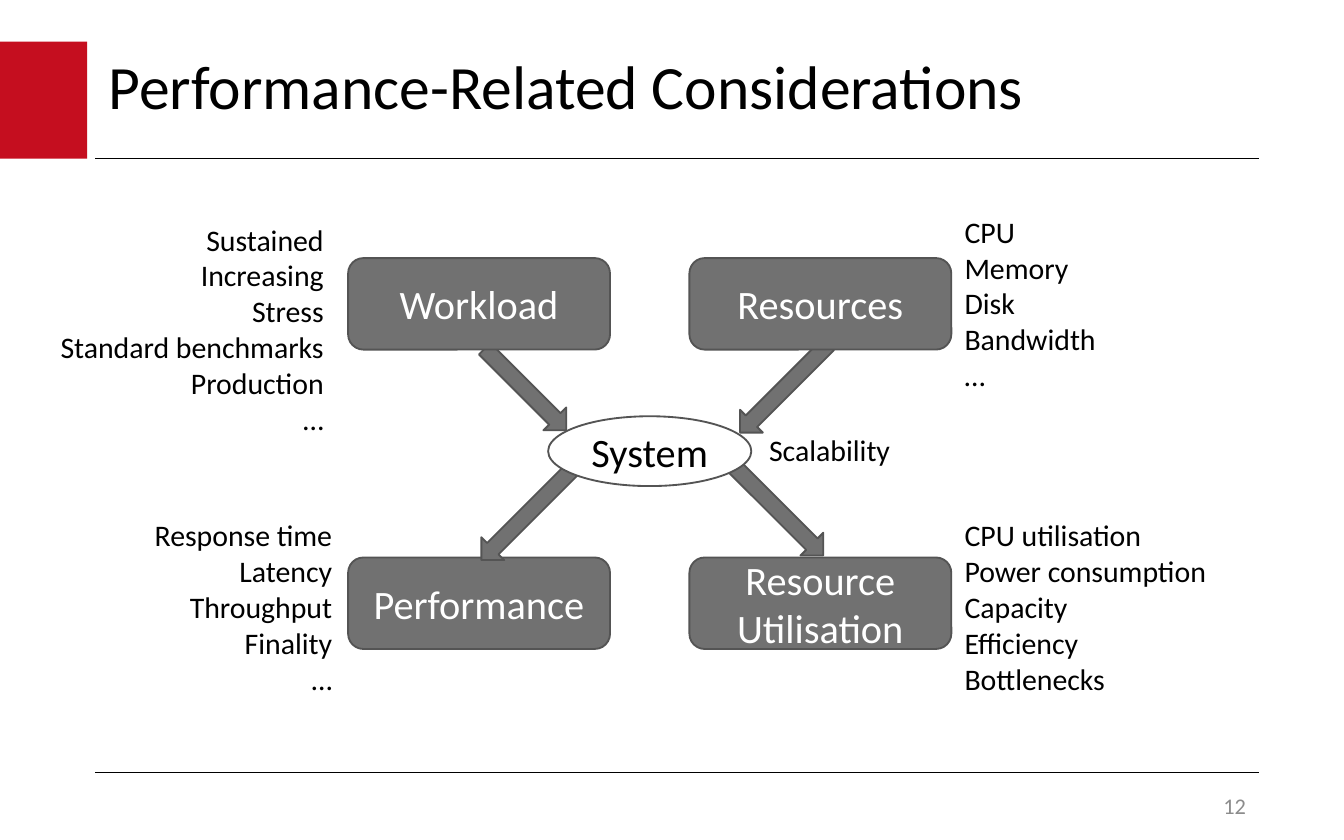
from lxml import etree
from pptx import Presentation
from pptx.dml.color import RGBColor
from pptx.enum.shapes import MSO_CONNECTOR, MSO_SHAPE
from pptx.enum.text import MSO_ANCHOR, MSO_AUTO_SIZE, PP_ALIGN
from pptx.oxml.ns import qn
from pptx.util import Cm, Pt

LEFT, CENTER, RIGHT = PP_ALIGN.LEFT, PP_ALIGN.CENTER, PP_ALIGN.RIGHT
TOP, MIDDLE = MSO_ANCHOR.TOP, MSO_ANCHOR.MIDDLE
FIT_SHAPE, FIXED = MSO_AUTO_SIZE.SHAPE_TO_FIT_TEXT, MSO_AUTO_SIZE.NONE
RECTANGLE, ROUNDED = MSO_SHAPE.RECTANGLE, MSO_SHAPE.ROUNDED_RECTANGLE
OVAL, ARROW = MSO_SHAPE.OVAL, MSO_SHAPE.RIGHT_ARROW
STRAIGHT = MSO_CONNECTOR.STRAIGHT

BLACK = RGBColor(0x00, 0x00, 0x00)
WHITE = RGBColor(0xFF, 0xFF, 0xFF)
RED = RGBColor(0xC5, 0x0E, 0x1F)
GRAY = RGBColor(0x71, 0x71, 0x71)
OUTLINE = RGBColor(0x54, 0x54, 0x54)
PALE_GRAY = RGBColor(0x8C, 0x8C, 0x8C)


def write_text(frame, lines, font="Calibri", size=16, color=BLACK, align=LEFT,
               anchor=TOP, wrap=True, fit=FIXED, spacing=None):
    """Write one paragraph per line; a vertical tab breaks within a paragraph."""
    frame.word_wrap = wrap
    frame.auto_size = fit
    frame.vertical_anchor = anchor
    for index, line in enumerate(lines):
        paragraph = frame.add_paragraph() if index else frame.paragraphs[0]
        paragraph.text = line
        paragraph.alignment = align
        if spacing:
            paragraph.line_spacing = spacing
        for run in paragraph.runs:
            run.font.name = font
            run.font.size = Pt(size)
            run.font.color.rgb = color


class SlideBuilder:
    label_size = 21.6

    def __init__(self, slide):
        self.slide = slide

    def title(self, text, box):
        shape = self.slide.shapes.title
        shape.left, shape.top, shape.width, shape.height = map(Cm, box)
        write_text(shape.text_frame, [text], size=33, anchor=MIDDLE, spacing=0.9)

    def shape(self, kind, box, fill=GRAY, line=OUTLINE):
        shape = self.slide.shapes.add_shape(kind, *map(Cm, box))
        shape.shadow.inherit = False
        shape.fill.solid()
        shape.fill.fore_color.rgb = fill
        if line is None:
            shape.line.fill.background()
        else:
            shape.line.color.rgb = line
            shape.line.width = Pt(1)
        return shape

    def node(self, kind, text, box, fill=GRAY, color=WHITE):
        shape = self.shape(kind, box, fill)
        write_text(shape.text_frame, [text], size=self.label_size, color=color,
                   align=CENTER, anchor=MIDDLE, wrap=kind != OVAL)

    def arrow(self, left, top, length, angle):
        self.shape(ARROW, (left, top, length, 0.61)).rotation = angle

    def rule(self, left, right, y):
        line = self.slide.shapes.add_connector(
            STRAIGHT, Cm(left), Cm(y), Cm(right), Cm(y))
        line.line.color.rgb = BLACK
        line.line.width = Pt(0.75)
        etree.SubElement(line.element.spPr, qn("a:effectLst"))

    def text(self, lines, box, **text_format):
        shape = self.slide.shapes.add_textbox(*map(Cm, box))
        write_text(shape.text_frame, lines, **text_format)


def main():
    presentation = Presentation()
    presentation.slide_width, presentation.slide_height = Cm(25.4), Cm(15.88)
    builder = SlideBuilder(
        presentation.slides.add_slide(presentation.slide_layouts[5]))

    # Page frame
    builder.shape(RECTANGLE, (0, 0.79, 1.65, 2.21), RED, None)
    for y in (3, 14.6):
        builder.rule(1.8, 23.8, y)
    builder.title("Performance-Related Considerations", (1.8, 0.79, 22, 1.8))
    builder.text(["12"], (18.64, 14.91, 5.16, 0.64), size=12, color=PALE_GRAY,
                 align=RIGHT, anchor=MIDDLE)

    # Arrows into the system, behind the boxes
    builder.arrow(13.64, 7.04, 2.36, 135)
    builder.arrow(8.84, 7.06, 2.18, 45)

    # Four boxes in a grid
    grid = (("Workload", "Resources"), ("Performance", "Resource\vUtilisation"))
    for row, labels in enumerate(grid):
        for column, label in enumerate(labels):
            builder.node(ROUNDED, label,
                         (6.58 + 6.45 * column, 4.88 + 5.66 * row, 4.95, 1.73))

    # Arrows out of the system, then the system itself
    builder.arrow(8.74, 9.42, 2.44, 135)
    builder.arrow(13.39, 9.3, 2.54, 45)
    builder.node(OVAL, "System", (10.36, 7.87, 3.84, 1.32), WHITE, BLACK)

    # Lists beside the boxes
    notes = (
        (("CPU", "Memory", "Disk", "Bandwidth", "…"),
         (17.98, 3.91, 3.02, 3.68), LEFT, False),
        (("Response time", "Latency", "Throughput", "Finality", "…"),
         (2.62, 9.65, 3.91, 3.68), RIGHT, False),
        (("Scalability",), (14.27, 8.03, 2.82, 0.94), CENTER, False),
        (("CPU utilisation", "Power consumption", "Capacity", "Efficiency",
          "Bottlenecks"), (17.98, 9.65, 5.16, 3.68), LEFT, False),
        (("Sustained", "Increasing", "Stress", "Standard benchmarks",
          "Production", "…"), (0.1, 4.06, 6.27, 4.37), RIGHT, True),
    )
    for lines, box, align, wrap in notes:
        builder.text(lines, box, align=align, wrap=wrap, fit=FIT_SHAPE)

    presentation.save("out.pptx")


if __name__ == "__main__":
    main()
